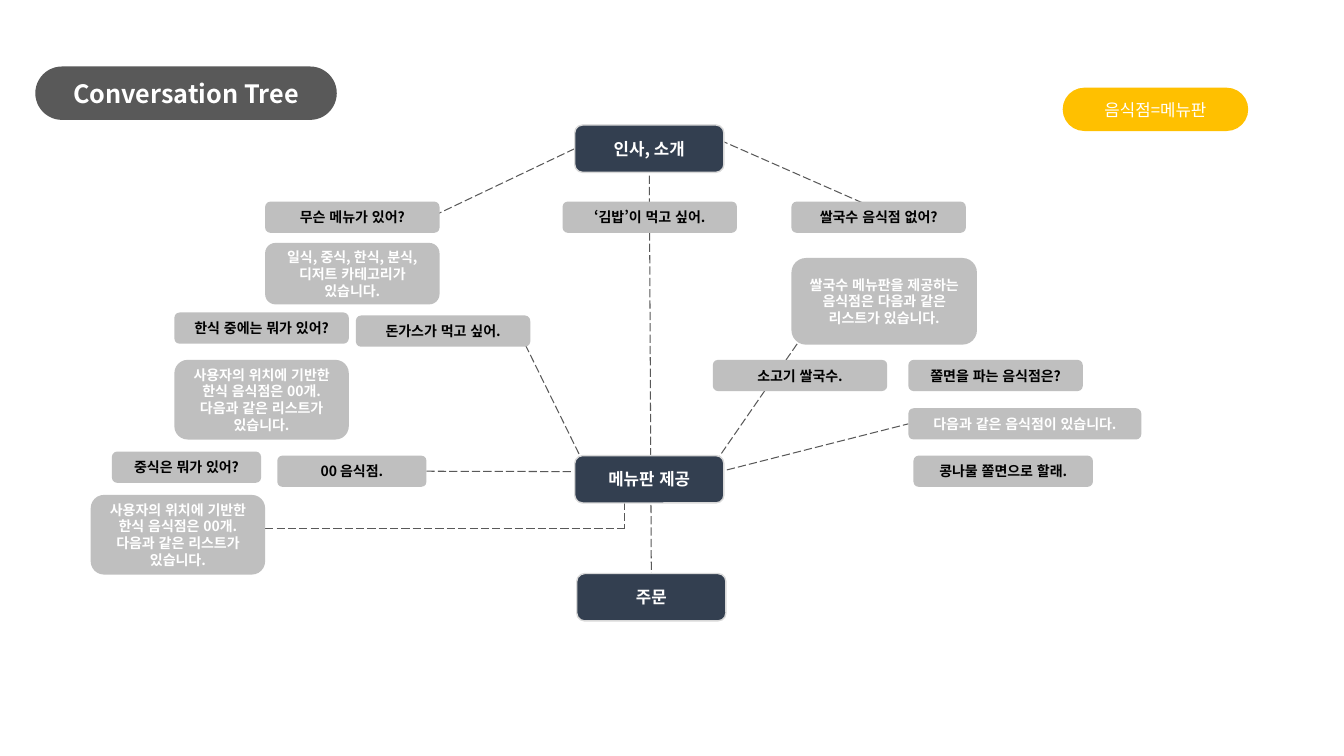
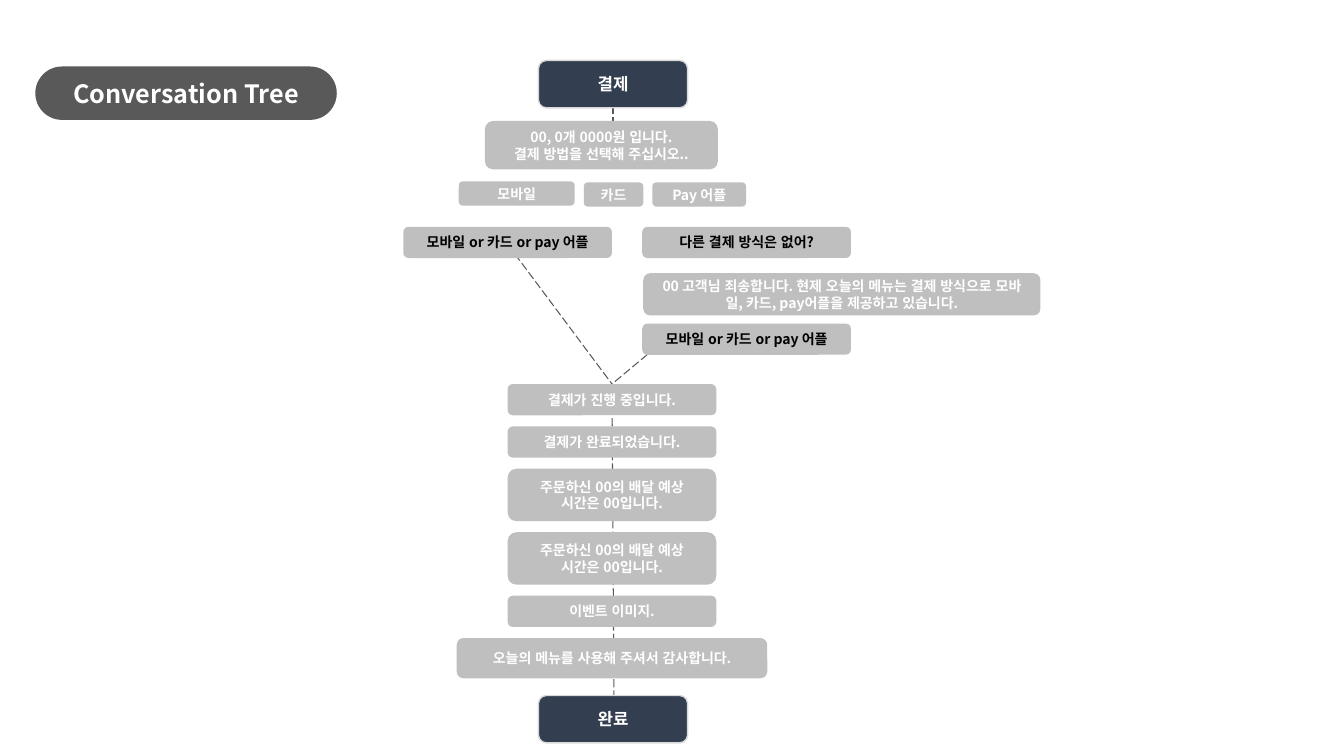
from lxml.etree import SubElement
from pptx import Presentation
from pptx.dml.color import RGBColor
from pptx.enum.dml import MSO_LINE
from pptx.enum.lang import MSO_LANGUAGE_ID
from pptx.enum.shapes import MSO_CONNECTOR, MSO_SHAPE
from pptx.enum.text import MSO_ANCHOR, PP_ALIGN
from pptx.oxml.ns import qn
from pptx.util import Inches, Pt

FONT = "Noto Sans CJK KR"
TITLE = "Conversation Tree"
TITLE_BOX = (0.35, 0.66, 2.99, 0.53)
COLORS = {"ink": "000000", "paper": "FFFFFF", "title": "595959", "wire": "595959",
          "stage": "333F50", "rim": "D9D9D9", "bubble": "BFBFBF", "note": "FFC000"}
# kind: fill, text colour, text size, bold, rim, pill ends
STYLES = {
    "title": ("title", "paper", 18, True, False, True),
    "stage": ("stage", "paper", 12, True, True, False),
    "user": ("bubble", "ink", 10, True, False, False),
    "bot": ("bubble", "paper", 10, True, False, False),
    "note": ("note", "paper", 12, False, False, True),
}
TOP, LEFT, BOTTOM, RIGHT = range(4)

# Box sizes
STAGE = (1.48, 0.47)
SAY = (1.73, 0.31)
SHORT = (1.48, 0.31)
LIST = (1.73, 0.79)
PAY = (2.07, 0.31)
PAY_TALL = (2.07, 0.52)
# Columns and rows of the menu tree
MIDDLE, MENU_X, RICE_X, KOREAN_X, NOODLE_X = 5.7, 2.63, 7.85, 1.73, 9.01
ASK_Y, CHOICE_Y, SERVE_Y = 2.0, 3.57, 4.52
NEARBY = ["사용자의 위치에 기반한 한식 음식점은 00개.", "다음과 같은 리스트가 있습니다."]

# name, kind, (left, top), (width, height), paragraphs
MENU_BOXES = [
    ("greeting", "stage", (MIDDLE, 1.24), STAGE, ["인사, 소개"]),
    ("menu board", "stage", (MIDDLE, SERVE_Y), STAGE, ["메뉴판 제공"]),
    ("order", "stage", (5.72, 5.69), STAGE, ["주문"]),
    ("which menu", "user", (MENU_X, ASK_Y), SAY, ["무슨 메뉴가 있어?"]),
    ("gimbap", "user", (5.58, ASK_Y), SAY, ["‘김밥’이 먹고 싶어."]),
    ("rice noodles", "user", (RICE_X, ASK_Y), SAY, ["쌀국수 음식점 없어?"]),
    ("categories", "bot", (MENU_X, 2.41), (1.73, 0.61),
     ["일식, 중식, 한식, 분식, 디저트 카테고리가 있습니다."]),
    ("korean", "user", (KOREAN_X, 3.1), SAY, ["한식 중에는 뭐가 있어?"]),
    ("cutlet", "user", (3.53, 3.13), SAY, ["돈가스가 먹고 싶어."]),
    ("korean list", "bot", (KOREAN_X, CHOICE_Y), LIST, NEARBY),
    ("chinese", "user", (1.11, 4.48), SHORT, ["중식은 뭐가 있어?"]),
    ("restaurant", "user", (2.75, SERVE_Y), SHORT, ["00 음식점."]),
    ("chinese list", "bot", (0.9, 4.91), LIST, NEARBY),
    ("rice noodle list", "bot", (RICE_X, 2.56), (1.84, 0.86),
     ["쌀국수 메뉴판을 제공하는 음식점은 다음과 같은 리스트가 있습니다."]),
    ("chewy noodles", "user", (NOODLE_X, CHOICE_Y), SAY, ["쫄면을 파는 음식점은?"]),
    ("beef noodles", "user", (7.07, CHOICE_Y), SAY, ["소고기 쌀국수."]),
    ("chewy noodle list", "bot", (NOODLE_X, 4.05), (2.31, 0.31),
     ["다음과 같은 음식점이 있습니다."]),
    ("sprout noodles", "user", (9.06, SERVE_Y), (1.78, 0.31), ["콩나물 쫄면으로 할래."]),
    ("place is menu", "note", (10.54, 0.87), (1.84, 0.43), ["음식점=메뉴판"]),
]
# Each end is a point, or a box name with the side it joins
MENU_WIRES = [
    ((7.1, 4.69), ("chewy noodle list", LEFT)),
    ((7.97, 3.32), (6.94, 4.81)),
    ((7.14, 1.39), (8.89, 2.16)),
    (("greeting", LEFT), (4.24, 2.17)),
    ((6.44, 1.63), ("order", TOP)),
    ((6.19, 4.64), (6.19, 5.25)),
    ((5.21, 3.42), (5.81, 4.64)),
    (("restaurant", RIGHT), (6.19, 4.68)),
    ((2.63, 5.24), (6.19, 5.24)),
]

PAY_CENTER, STACK_TOP, STACK_GAP = 6.07, 3.81, 0.11
METHOD_Y, REPLY_Y, OTHER_X = 1.81, 2.25, 6.37
DELIVERY = ["주문하신 00의 배달 예상 시간은 00입니다."]
CHOICE = ["모바일 or 카드 or pay 어플"]
PAY_STACK = [
    ("paying", PAY, ["결제가 진행 중입니다."]),
    ("paid", PAY, ["결제가 완료되었습니다."]),
    ("delivery", PAY_TALL, DELIVERY),
    ("delivery again", PAY_TALL, DELIVERY),
    ("event", PAY, ["이벤트 이미지."]),
    ("thanks", (3.08, 0.4), ["오늘의 메뉴를 사용해 주셔서 감사합니다."]),
]
PAY_BOXES = [
    ("payment", "stage", (5.34, 0.6), STAGE, ["결제"]),
    ("done", "stage", (5.34, 6.9), STAGE, ["완료"]),
    ("total", "bot", (4.81, 1.2), (2.31, 0.48),
     ["00, 0개 0000원 입니다.", "결제 방법을 선택해 주십시오.."]),
    ("mobile", "bot", (4.55, 1.8), (1.15, 0.24), ["모바일"]),
    ("card", "bot", (5.79, METHOD_Y), (0.59, 0.24), ["카드"]),
    ("app", "bot", (6.47, METHOD_Y), (0.93, 0.24), ["Pay 어플"]),
    ("choice", "user", (4, REPLY_Y), PAY, CHOICE),
    ("other way", "user", (OTHER_X, REPLY_Y), PAY, ["다른 결제 방식은 없어?"]),
    ("apology", "bot", (6.38, 2.71), (3.94, 0.42),
     ["00 고객님 죄송합니다. 현제 오늘의 메뉴는 결제 방식으로 모바일, 카드, pay어플을 제공하고 있습니다."]),
    ("second choice", "user", (OTHER_X, 3.21), PAY, CHOICE),
]
PAY_WIRES = [
    ((6.08, 0.82), (6.08, 1.53)),
    ((5.04, 2.43), ("paying", TOP)),
    (("paying", TOP), (6.09, 7.03)),
    ((6.68, 3.3), ("paying", TOP)),
]


def color(name):
    return RGBColor.from_string(COLORS[name])


def stacked(items):
    """Place bot boxes under one another, centred, with equal gaps."""
    boxes, top = [], STACK_TOP
    for name, (width, height), lines in items:
        boxes.append((name, "bot", (PAY_CENTER - width / 2, top), (width, height), lines))
        top += height + STACK_GAP
    return boxes


def write(shape, kind, lines):
    _, ink, size, bold, _, _ = STYLES[kind]
    frame = shape.text_frame
    frame.word_wrap = True
    frame.vertical_anchor = MSO_ANCHOR.MIDDLE
    for index, line in enumerate(lines):
        paragraph = frame.add_paragraph() if index else frame.paragraphs[0]
        paragraph.alignment = PP_ALIGN.CENTER
        run = paragraph.add_run()
        run.text = line
        font = run.font
        font.name, font.size, font.bold = FONT, Pt(size), bold
        font.color.rgb = color(ink)
        font.language_id = MSO_LANGUAGE_ID.KOREAN
        SubElement(run._r.get_or_add_rPr(), qn("a:ea"), typeface=FONT)


def add_box(slide, kind, position, size):
    fill, _, _, _, rim, pill = STYLES[kind]
    shape = slide.shapes.add_shape(MSO_SHAPE.ROUNDED_RECTANGLE,
                                   *(Inches(value) for value in (*position, *size)))
    shape.shadow.inherit = False
    shape.fill.solid()
    shape.fill.fore_color.rgb = color(fill)
    if rim:
        shape.line.color.rgb = color("rim")
        shape.line.width = Pt(1)
    else:
        shape.line.fill.background()
    if pill:
        shape.adjustments[0] = 0.5
    return shape


def add_wire(slide, boxes, ends):
    """Draw a dashed line behind the boxes, joined wherever an end names a box."""
    joined = [isinstance(end[0], str) for end in ends]
    points = [(0, 0) if is_joined else (Inches(end[0]), Inches(end[1]))
              for end, is_joined in zip(ends, joined)]
    wire = slide.shapes.add_connector(MSO_CONNECTOR.STRAIGHT, *points[0], *points[1])
    for end, is_joined, connect in zip(ends, joined, (wire.begin_connect, wire.end_connect)):
        if is_joined:
            connect(boxes[end[0]], end[1])
    wire.line.color.rgb = color("wire")
    wire.line.width = Pt(0.75)
    wire.line.dash_style = MSO_LINE.LONG_DASH
    SubElement(wire._element.spPr, qn("a:effectLst"))
    slide.shapes._spTree.insert(2, wire._element)


def add_title_band(slide, layout):
    """Put the pill and the title's place in the layout, for every slide."""
    pill = add_box(slide, "title", TITLE_BOX[:2], TITLE_BOX[2:])
    layout.shapes._spTree.insert(2, pill._element)
    title = layout.placeholders[0]
    title.left, title.top, title.width, title.height = map(Inches, TITLE_BOX)


def add_tree(slide, boxes, wires):
    write(slide.shapes.title, "title", [TITLE])
    shapes = {}
    for name, kind, position, size, lines in boxes:
        shapes[name] = add_box(slide, kind, position, size)
        write(shapes[name], kind, lines)
    for ends in wires:
        add_wire(slide, shapes, ends)


def main():
    presentation = Presentation()
    presentation.slide_width, presentation.slide_height = Inches(13.33), Inches(7.5)
    layout = presentation.slide_layouts[5]
    trees = [(MENU_BOXES, MENU_WIRES), (stacked(PAY_STACK) + PAY_BOXES, PAY_WIRES)]
    slides = [presentation.slides.add_slide(layout) for _ in trees]
    add_title_band(slides[0], layout)
    for slide, (boxes, wires) in zip(slides, trees):
        add_tree(slide, boxes, wires)
    presentation.save("out.pptx")


if __name__ == "__main__":
    main()
